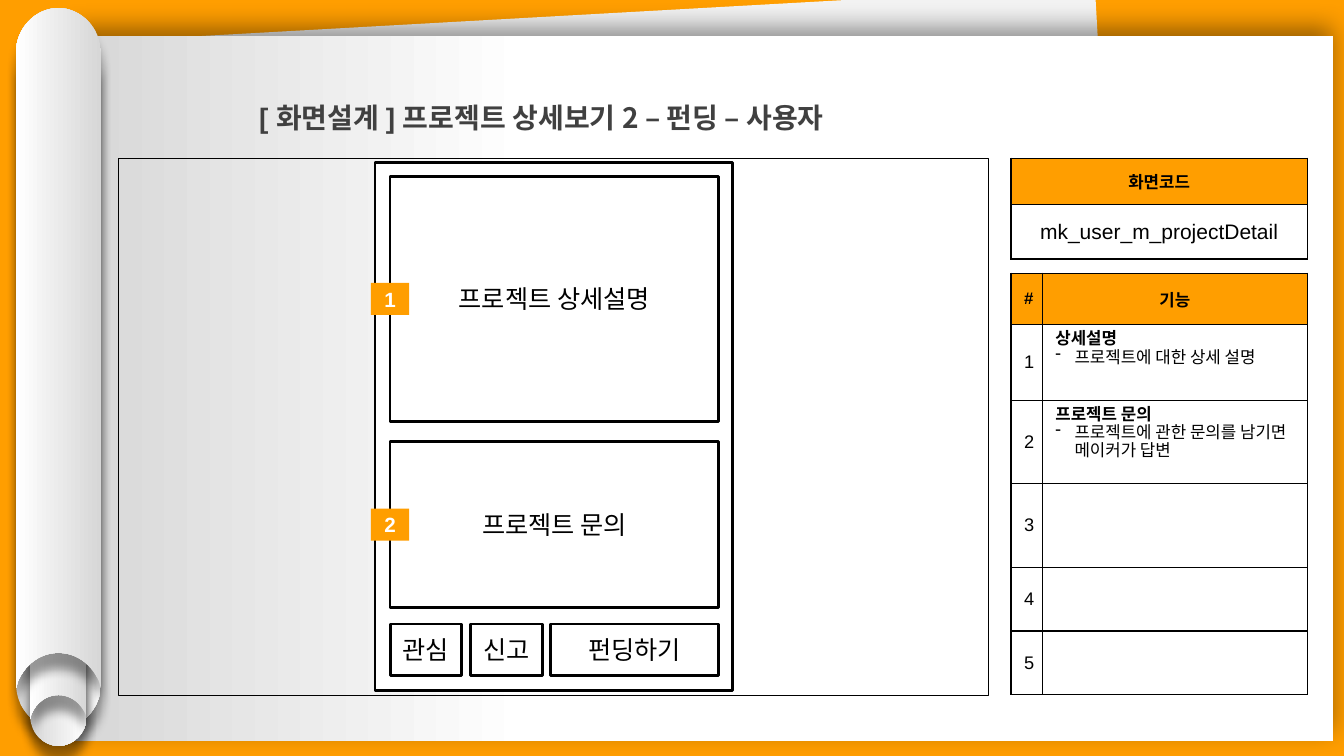
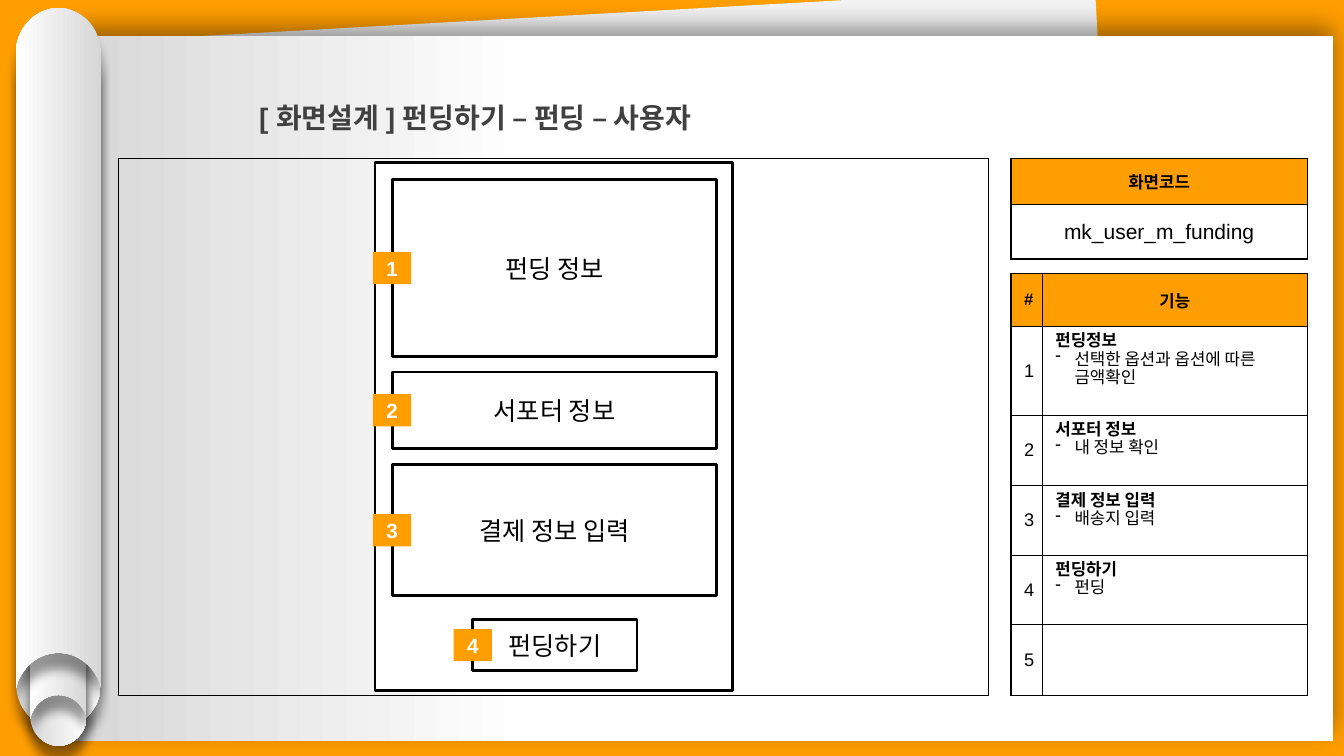
from lxml import etree
from pptx import Presentation
from pptx import util as u
from pptx.dml.color import RGBColor
from pptx.enum import shapes, text
from pptx.oxml.ns import qn

SCALE = u.Inches(1) // 100
SLIDE_WIDTH = u.Inches(40) // 3
SLIDE_HEIGHT = u.Inches(7.5)
ORANGE = RGBColor(0xFF, 0x9E, 0x00)
WHITE = RGBColor(0xFF, 0xFF, 0xFF)
BLACK = RGBColor(0x00, 0x00, 0x00)
CHARCOAL = RGBColor(0x40, 0x40, 0x40)
PALE = RGBColor(0xF2, 0xF2, 0xF2)
SILVER = RGBColor(0xD7, 0xD7, 0xD7)
LATIN = "Arial"
KOREAN = "Noto Sans CJK KR"

TITLE_BOX = (247, 78, 961, 54)
CANVAS_BOX = (118, 157, 863, 533)
PHONE_BOX = (372, 161, 355, 524)
CODE_BOX = (1003, 157, 294, 100)
FEATURE_BOX = (1003, 271, 294, 418)
BADGE_SIZE = (38, 32)

SCREENS = [
    {
        "title": [("[ 화면설계 ] ", LATIN), ("프로젝트 상세보기 2 – 펀딩 – 사용자", KOREAN)],
        "code": "mk_user_m_projectDetail",
        "blocks": [
            ("프로젝트 상세설명", (15, 14, 326, 243), "1"),
            ("프로젝트 문의", (15, 277, 326, 165), "2"),
            ("관심", (15, 458, 71, 51), None),
            ("신고", (95, 458, 71, 51), None),
            ("펀딩하기", (174, 458, 167, 51), None),
        ],
        "rows": [51, 75, 83, 83, 63, 63],
        "features": [
            ("상세설명", "프로젝트에 대한 상세 설명"),
            ("프로젝트 문의", "프로젝트에 관한 문의를 남기면 메이커가 답변"),
        ],
    },
    {
        "title": [("[ 화면설계 ] ", LATIN), ("펀딩하기 – 펀딩 ", KOREAN), ("– 사용자", LATIN)],
        "code": "mk_user_m_funding",
        "blocks": [
            ("펀딩 정보", (17, 17, 322, 176), "1"),
            ("서포터 정보", (17, 208, 322, 76), "2"),
            ("결제 정보 입력", (17, 300, 322, 130), "3"),
            ("펀딩하기", (97, 454, 163, 50), "4"),
        ],
        "rows": [53, 88, 70, 69, 69, 70],
        "features": [
            ("펀딩정보", "선택한 옵션과 옵션에 따른 금액확인"),
            ("서포터 정보", "내 정보 확인"),
            ("결제 정보 입력", "배송지 입력"),
            ("펀딩하기", "펀딩"),
        ],
    },
]


def px(value):
    return u.Emu(round(value * SCALE))


def style_paragraph(paragraph, size, color=BLACK, bold=False, align=text.PP_ALIGN.CENTER):
    paragraph.alignment = align
    font = paragraph.font
    font.size, font.bold, font.name = u.Pt(size), bold, LATIN
    font.color.rgb = color


def add_box(slide, box, fill=None, line=None):
    shape = slide.shapes.add_shape(shapes.MSO_SHAPE.RECTANGLE, *map(px, box))
    shape.shadow.inherit = False
    if fill is None:
        shape.fill.background()
    else:
        shape.fill.solid()
        shape.fill.fore_color.rgb = fill
    if line is None:
        shape.line.fill.background()
    else:
        shape.line.color.rgb = BLACK
        shape.line.width = u.Pt(line)
    return shape


def add_label(slide, box, label, size, color, bold=False, line=None, fill=WHITE):
    shape = add_box(slide, box, fill, line)
    frame = shape.text_frame
    frame.word_wrap = True
    frame.margin_left = frame.margin_right = 0
    frame.vertical_anchor = text.MSO_ANCHOR.MIDDLE
    frame.text = label
    style_paragraph(frame.paragraphs[0], size, color, bold)


def shade(shape, stops, blur, distance, direction):
    shape.line.fill.background()
    shape.fill.gradient()
    shape.fill.gradient_angle = 180
    for stop, (position, color) in zip(shape.fill.gradient_stops, stops):
        stop.position = position
        stop.color.rgb = color
    shape.shadow.inherit = False
    effects = shape._element.spPr.find(qn("a:effectLst"))
    shadow = etree.SubElement(
        effects, qn("a:outerShdw"), blurRad=str(u.Pt(blur)), dist=str(u.Pt(distance)),
        dir=str(direction * 60000), algn="ctr", rotWithShape="0")
    color = etree.SubElement(shadow, qn("a:srgbClr"), val=str(BLACK))
    etree.SubElement(color, qn("a:alpha"), val="40000")


def curve_segments(shape, starts):
    segments = list(shape._element.iter(qn("a:lnTo")))
    for start in starts:
        curve = etree.Element(qn("a:cubicBezTo"))
        segments[start].addprevious(curve)
        for segment in segments[start:start + 3]:
            curve.append(segment[0])
            segment.getparent().remove(segment)


def add_roll(slide, box, rotation):
    left, top, width, height = box
    foot = height / width
    right_half = [
        (0.5, 0), (0.77, 0), (1, 0.24), (1, 0.52), (1, foot), (0.98, foot - 0.08),
        (0.89, foot - 0.29), (0.71, foot - 0.42), (0.5, foot - 0.42),
    ]
    left_half = [(1 - x, y) for x, y in reversed(right_half[:-1])]
    corners = [(px(left + x * width), px(top + y * width)) for x, y in right_half + left_half]
    builder = slide.shapes.build_freeform(*corners[0])
    builder.add_line_segments(corners[1:])
    shape = builder.convert_to_shape()
    curve_segments(shape, (0, 5, 8, 13))
    shape.rotation = rotation
    shade(shape, [(0, SILVER), (1, WHITE)], 7, 11, 90)


def draw_backdrop(slide):
    add_box(slide, (91, 14, 1015, 680), PALE).rotation = 356.8
    paper = add_box(slide, (73, 36, 1250, 699))
    shade(paper, [(0.64, WHITE), (1, SILVER)], 18, 6, 270)
    for box, rotation in [
        ((16, 48, 84, 675), 180),
        ((30, 288, 56, 452), 180),
        ((30, 261, 56, 452), 0),
        ((16, 8, 84, 675), 0),
    ]:
        add_roll(slide, box, rotation)
    add_box(slide, CANVAS_BOX, line=0.75)


def move_to_layout(slide, layout):
    for placeholder in list(layout.placeholders):
        if placeholder.placeholder_format.type != shapes.PP_PLACEHOLDER.TITLE:
            layout.shapes.element.remove(placeholder.element)
    for shape in list(slide.shapes):
        if not shape.is_placeholder:
            layout.shapes.element.append(shape.element)


def set_title(slide, runs):
    title = slide.shapes.title
    title.left, title.top, title.width, title.height = map(px, TITLE_BOX)
    frame = title.text_frame
    frame.word_wrap = True
    frame.auto_size = text.MSO_AUTO_SIZE.SHAPE_TO_FIT_TEXT
    frame.vertical_anchor = text.MSO_ANCHOR.TOP
    paragraph = frame.paragraphs[0]
    paragraph.line_spacing = 1.5
    style_paragraph(paragraph, 20, CHARCOAL, True, text.PP_ALIGN.LEFT)
    for wording, font_name in runs:
        run = paragraph.add_run()
        run.text = wording
        run.font.name = font_name


def draw_phone(slide, box, blocks):
    add_box(slide, box, WHITE, 2)
    badge_width, badge_height = BADGE_SIZE
    for label, (x, y, width, height), number in blocks:
        left, top = box[0] + x, box[1] + y
        add_label(slide, (left, top, width, height), label, 18, BLACK, line=2)
        if number:
            badge = (left - badge_width / 2, top + (height - badge_height) / 2, *BADGE_SIZE)
            add_label(slide, badge, number, 14.7, WHITE, bold=True, fill=ORANGE)


def format_cell(cell, header):
    cell.margin_left = cell.margin_right = px(13)
    cell.margin_top = cell.margin_bottom = px(7)
    properties = cell._tc.get_or_add_tcPr()
    for side in ("a:lnL", "a:lnR", "a:lnT", "a:lnB"):
        border = etree.SubElement(properties, qn(side), w=str(u.Pt(1)))
        fill = etree.SubElement(border, qn("a:solidFill"))
        etree.SubElement(fill, qn("a:srgbClr"), val=str(BLACK))
    if header:
        cell.fill.solid()
        cell.fill.fore_color.rgb = ORANGE
    else:
        cell.fill.background()


def add_grid(slide, box, columns, rows):
    frame = slide.shapes.add_table(len(rows), len(columns), *map(px, box))
    table = frame.table
    table.first_row = table.horz_banding = False
    for column, width in zip(table.columns, columns):
        column.width = px(width)
    for index, height in enumerate(rows):
        table.rows[index].height = px(height)
        for cell in table.rows[index].cells:
            format_cell(cell, index == 0)
    return table


def write_centered(cell, wording, size, bold=False):
    cell.text = wording
    cell.vertical_anchor = text.MSO_ANCHOR.MIDDLE
    style_paragraph(cell.text_frame.paragraphs[0], size, bold=bold)


def write_feature(cell, heading, detail):
    frame = cell.text_frame
    frame.text = heading
    bullet = frame.add_paragraph()
    bullet.text = detail
    for paragraph in frame.paragraphs:
        paragraph.line_spacing = u.Pt(13)
    properties = bullet._p.get_or_add_pPr()
    properties.set("marL", str(px(19)))
    properties.set("indent", str(-px(19)))
    etree.SubElement(properties, qn("a:buChar"), char="-")
    style_paragraph(frame.paragraphs[0], 12, bold=True, align=text.PP_ALIGN.LEFT)
    style_paragraph(bullet, 12, align=text.PP_ALIGN.LEFT)


def draw_code_table(slide, box, code):
    table = add_grid(slide, box, [box[2]], [46, 54])
    write_centered(table.cell(0, 0), "화면코드", 12, True)
    write_centered(table.cell(1, 0), code, 15)


def draw_feature_table(slide, box, rows, features):
    number_width = 31
    table = add_grid(slide, box, [number_width, box[2] - number_width], rows)
    for column, heading in enumerate(["#", "기능"]):
        write_centered(table.cell(0, column), heading, 12, True)
    for row in range(1, len(rows)):
        write_centered(table.cell(row, 0), str(row), 13)
    for row, feature in enumerate(features, 1):
        write_feature(table.cell(row, 1), *feature)


def main():
    presentation = Presentation()
    presentation.slide_width, presentation.slide_height = SLIDE_WIDTH, SLIDE_HEIGHT
    background = presentation.slide_master.background.fill
    background.solid()
    background.fore_color.rgb = ORANGE
    layout = presentation.slide_layouts.get_by_name("Title Only")
    slides = [presentation.slides.add_slide(layout) for _ in SCREENS]
    draw_backdrop(slides[0])
    move_to_layout(slides[0], layout)
    for slide, screen in zip(slides, SCREENS):
        set_title(slide, screen["title"])
        draw_phone(slide, PHONE_BOX, screen["blocks"])
        draw_code_table(slide, CODE_BOX, screen["code"])
        draw_feature_table(slide, FEATURE_BOX, screen["rows"], screen["features"])
    presentation.save("out.pptx")


if __name__ == "__main__":
    main()
